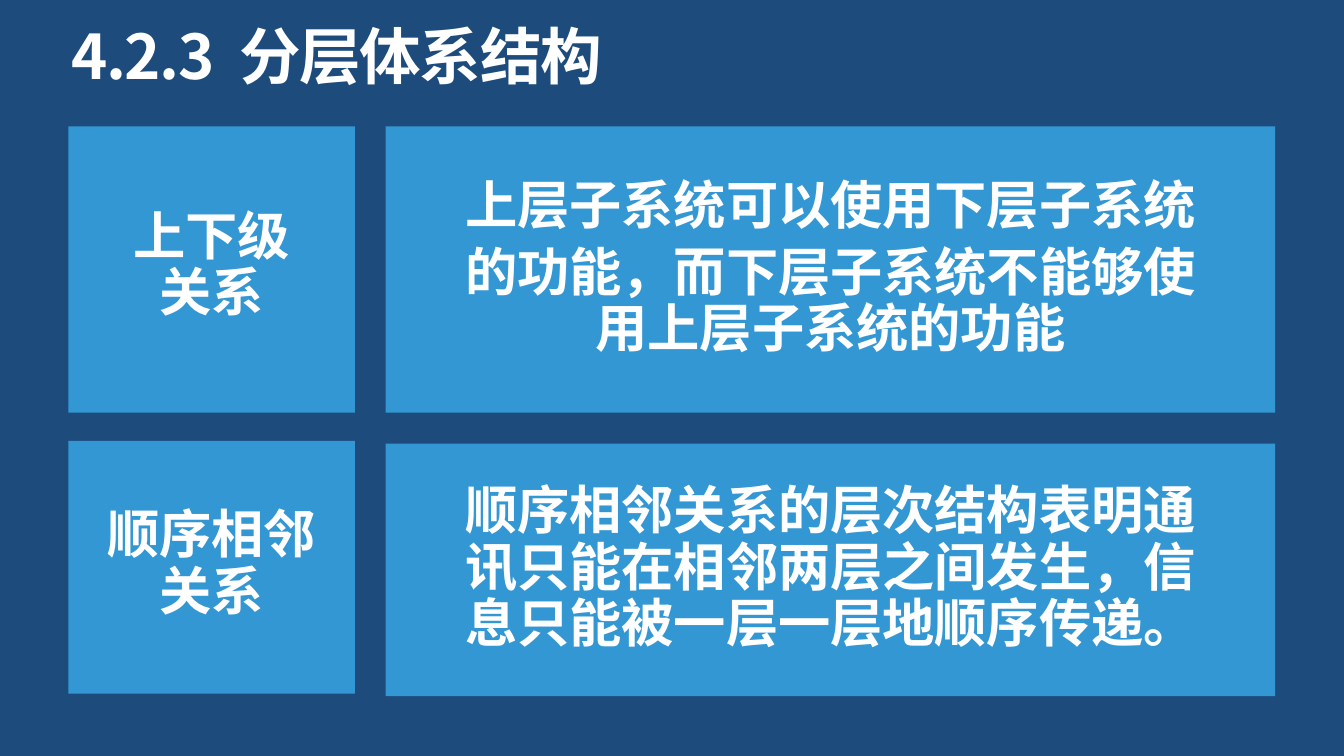
from dataclasses import dataclass

from lxml.etree import SubElement
from pptx import Presentation
from pptx.dml.color import RGBColor
from pptx.enum.shapes import MSO_SHAPE as Shape
from pptx.enum.text import MSO_ANCHOR as Anchor, MSO_AUTO_SIZE as AutoSize, PP_ALIGN as Align
from pptx.oxml.ns import qn
from pptx.slide import Slide
from pptx.util import Pt

NAVY = RGBColor(0x1D, 0x4C, 0x7C)
BLUE = RGBColor(0x33, 0x97, 0xD3)
WHITE = RGBColor(0xFF, 0xFF, 0xFF)
FONT = "Noto Sans CJK SC"
LINE_SPACING = 0.9


@dataclass(frozen=True)
class Column:
    left: float
    width: float
    inset: float


@dataclass(frozen=True)
class Card:
    column: Column
    top: float
    height: float
    text_top: float
    text_height: float
    paragraphs: tuple[str, ...]


NAMES = Column(36.7, 153.4, 12.2)
DETAILS = Column(206.6, 476.6, 37.1)

CARDS = (
    Card(NAMES, 67.7, 153.4, 112.3, 61.2, ("上下级\v关系",)),
    Card(DETAILS, 67.7, 153.4, 95, 98.6,
         ("上层子系统可以使用下层子系统",
          "的功能，而下层子系统不能够使用上层子系统的功能")),
    Card(NAMES, 236.2, 135.4, 272.2, 61.2, ("顺序相邻关系",)),
    Card(DETAILS, 237.6, 135.4, 259.2, 91.4,
         ("顺序相邻关系的层次结构表明通讯只能在相邻两层之间发生，信息只能被一层一层地顺序传递。",)),
)


def format_span(span, size: float) -> None:
    """Apply the bold white face to Latin and East Asian text alike."""
    font = span.font
    font.size, font.bold, font.name = Pt(size), True, FONT
    font.color.rgb = WHITE
    SubElement(span._r.get_or_add_rPr(), qn("a:ea")).set("typeface", FONT)


def add_title(page: Slide) -> None:
    title = page.shapes.title
    title.left, title.top, title.width, title.height = Pt(31), Pt(13.7), Pt(658.8), Pt(36)
    frame = title.text_frame
    frame.auto_size = AutoSize.NONE
    frame.vertical_anchor = Anchor.MIDDLE
    para = frame.paragraphs[0]
    para.alignment, para.line_spacing = Align.LEFT, LINE_SPACING
    # The wide gap after the section number is letter spacing on one space.
    for text, spacing in (("4.2.3", -0.8), (" ", 6), ("分层体系结构", -0.8)):
        span = para.add_run()
        span.text = text
        format_span(span, 33)
        span._r.rPr.set("spc", str(round(spacing * 100)))


def add_card(page: Slide, card: Card) -> None:
    column = card.column
    group = page.shapes.add_group_shape()
    panel = group.shapes.add_shape(Shape.RECTANGLE, Pt(column.left), Pt(card.top),
                                   Pt(column.width), Pt(card.height))
    panel.shadow.inherit = False
    panel.fill.solid()
    panel.fill.fore_color.rgb = BLUE
    panel.line.fill.background()

    box = group.shapes.add_textbox(Pt(column.left + column.inset), Pt(card.text_top),
                                   Pt(column.width - 2 * column.inset), Pt(card.text_height))
    frame = box.text_frame
    frame.word_wrap = True
    frame.vertical_anchor = Anchor.MIDDLE
    frame.margin_left = frame.margin_right = frame.margin_top = frame.margin_bottom = 0
    frame.text = "\n".join(card.paragraphs)
    for index, para in enumerate(frame.paragraphs):
        para.alignment, para.line_spacing = Align.CENTER, LINE_SPACING
        if index:
            para.space_before = Pt(5.6)
        for span in para.runs:
            format_span(span, 28)


def main() -> None:
    deck = Presentation()
    deck.slide_width, deck.slide_height = Pt(720), Pt(405)
    page = deck.slides.add_slide(deck.slide_layouts.get_by_name("Title Only"))
    page.background.fill.solid()
    page.background.fill.fore_color.rgb = NAVY
    add_title(page)
    for card in CARDS:
        add_card(page, card)
    deck.save("out.pptx")


if __name__ == "__main__":
    main()
